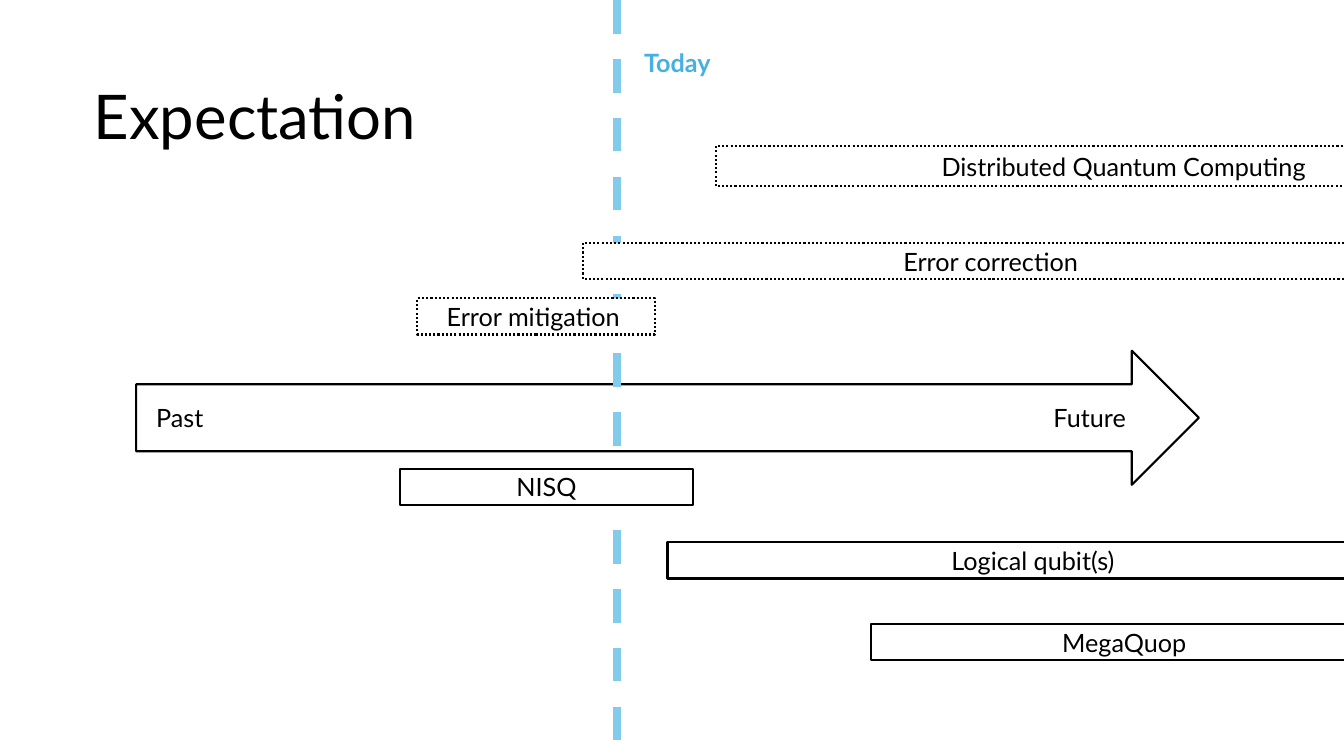
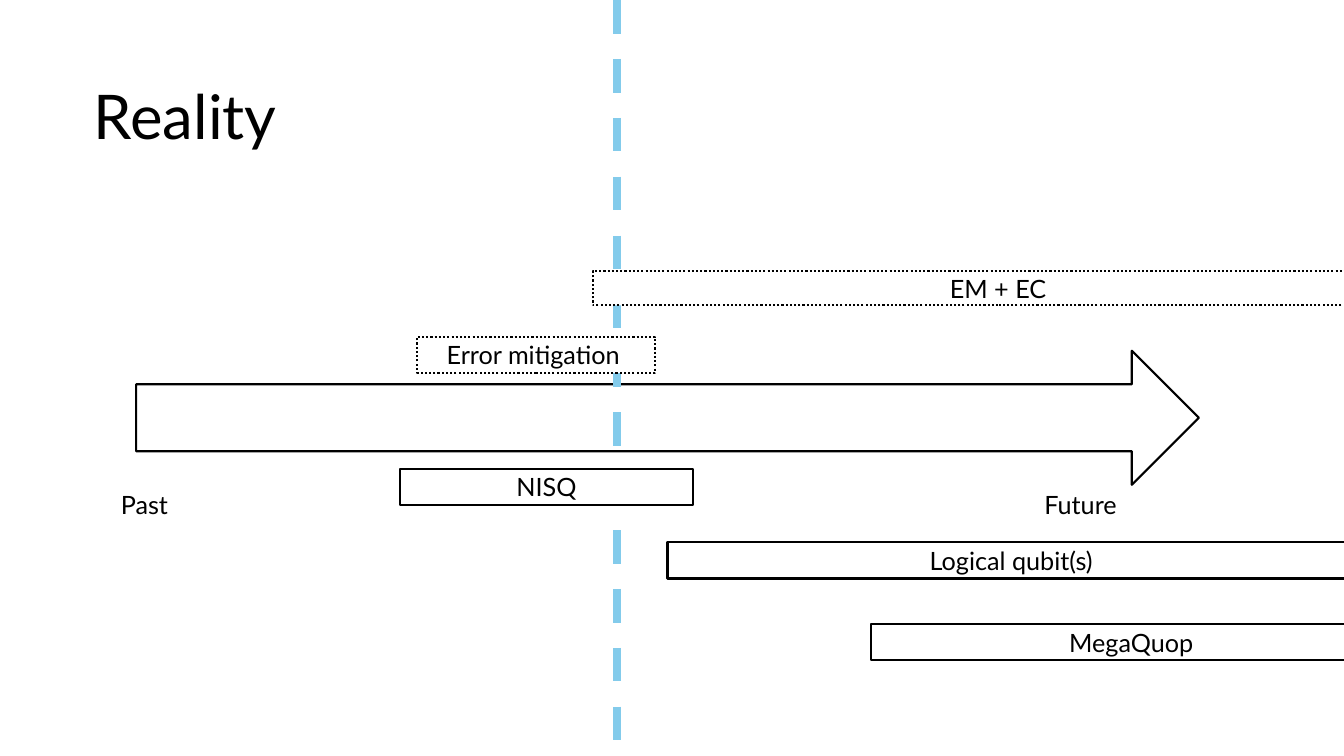
from dataclasses import dataclass

from pptx import Presentation
from pptx.dml.color import RGBColor
from pptx.enum.dml import MSO_LINE_DASH_STYLE as Dash
from pptx.enum.shapes import MSO_CONNECTOR as Connector, MSO_SHAPE as Shape
from pptx.enum.text import MSO_ANCHOR as Anchor, MSO_AUTO_SIZE as AutoSize, PP_ALIGN as Align
from pptx.oxml.ns import qn
from pptx.util import Inches, Pt


@dataclass(frozen=True)
class Theme:
    font: str = "Lato"
    ink: RGBColor = RGBColor(0x00, 0x00, 0x00)
    paper: RGBColor = RGBColor(0xFF, 0xFF, 0xFF)
    today_line: RGBColor = RGBColor(0x83, 0xCB, 0xEB)
    today_text: RGBColor = RGBColor(0x46, 0xB1, 0xE1)
    title_size: Pt = Pt(44)
    label_size: Pt = Pt(18)
    outline: Pt = Pt(1.5)
    today_width: Pt = Pt(6)


THEME = Theme()
SLIDE_WIDTH, SLIDE_HEIGHT = Inches(13.33), Inches(7.5)
TODAY_X = 6.12
BAR_HEIGHT = 0.36

# Bars are (text, left, top, width, height)
NISQ = ("NISQ", 3.97, 4.65, 2.9, BAR_HEIGHT)
TIMELINES = [
    {
        "title": "Expectation",
        "labels": [("Past", 1.45, 3.94), ("Future", 10.35, 3.94)],
        "today": ("Today", 6.29, 0.42),
        "milestones": [
            NISQ,
            ("Logical qubit(s)", 6.62, 5.38, 7.25, BAR_HEIGHT),
            ("MegaQuop", 8.64, 6.19, 5.02, BAR_HEIGHT),
        ],
        "methods": [
            ("Error correction", 5.78, 2.41, 8.09, BAR_HEIGHT),
            ("Distributed Quantum Computing", 7.1, 1.45, 8.09, 0.4),
            ("Error mitigation ", 4.14, 2.96, 2.36, BAR_HEIGHT),
        ],
    },
    {
        "title": "Reality",
        "labels": [("Past", 1.1, 4.81), ("Future", 10.26, 4.81)],
        "today": None,
        "milestones": [
            NISQ,
            ("Logical qubit(s)", 6.62, 5.38, 6.82, BAR_HEIGHT),
            ("MegaQuop", 8.64, 6.19, 5.16, BAR_HEIGHT),
        ],
        "methods": [
            ("EM + EC", 5.88, 2.69, 8.04, 0.34),
            ("Error mitigation ", 4.14, 3.34, 2.36, BAR_HEIGHT),
        ],
    },
]


def set_text(shape, text, align=Align.LEFT, anchor=Anchor.TOP, color=THEME.ink, **font_format):
    frame = shape.text_frame
    frame.word_wrap = True
    frame.auto_size = AutoSize.NONE
    frame.vertical_anchor = anchor
    paragraph = frame.paragraphs[0]
    paragraph.text = text
    paragraph.alignment = align
    font = paragraph.runs[0].font
    font.color.rgb = color
    values = {"name": THEME.font, "size": THEME.label_size, "bold": False, **font_format}
    for attribute, value in values.items():
        setattr(font, attribute, value)


def set_title(slide, text):
    title = slide.shapes.title
    box = {"left": 0.83, "top": 0.72, "width": 4.2, "height": 0.84}
    for side, length in box.items():
        setattr(title, side, Inches(length))
    set_text(title, text, size=THEME.title_size)


def add_outlined(slide, preset, left, top, width, height, dash=Dash.SOLID):
    shape = slide.shapes.add_shape(preset, *map(Inches, (left, top, width, height)))
    shape.shadow.inherit = False
    shape.fill.solid()
    shape.fill.fore_color.rgb = THEME.paper
    shape.line.color.rgb = THEME.ink
    shape.line.width = THEME.outline
    shape.line.dash_style = dash
    return shape


def add_bar(slide, text, left, top, width, height, dash=Dash.SOLID):
    bar = add_outlined(slide, Shape.RECTANGLE, left, top, width, height, dash)
    set_text(bar, text, Align.CENTER, Anchor.MIDDLE)


def add_label(slide, text, left, top, **style):
    label = slide.shapes.add_textbox(*map(Inches, (left, top, 1.62, 0.4)))
    set_text(label, text, **style)


def add_today_line(slide):
    x = Inches(TODAY_X)
    today = slide.shapes.add_connector(Connector.STRAIGHT, x, 0, x, SLIDE_HEIGHT)
    today.line.color.rgb = THEME.today_line
    today.line.width = THEME.today_width
    today.line.dash_style = Dash.DASH
    properties = today._element.spPr
    properties.append(properties.makeelement(qn("a:effectLst"), {}))


def add_timeline(prs, timeline):
    slide = prs.slides.add_slide(prs.slide_layouts[5])
    set_title(slide, timeline["title"])

    # Time axis
    add_outlined(slide, Shape.RIGHT_ARROW, 1.35, 3.48, 10.54, 1.33)
    for label in timeline["labels"]:
        add_label(slide, *label)
    add_today_line(slide)
    if timeline["today"]:
        add_label(slide, *timeline["today"], color=THEME.today_text, bold=True)

    # Machine eras are solid, error handling is dotted
    for bar in timeline["milestones"]:
        add_bar(slide, *bar)
    for bar in timeline["methods"]:
        add_bar(slide, *bar, dash=Dash.ROUND_DOT)


def main():
    prs = Presentation()
    prs.slide_width, prs.slide_height = SLIDE_WIDTH, SLIDE_HEIGHT
    for timeline in TIMELINES:
        add_timeline(prs, timeline)
    prs.save("out.pptx")


if __name__ == "__main__":
    main()
